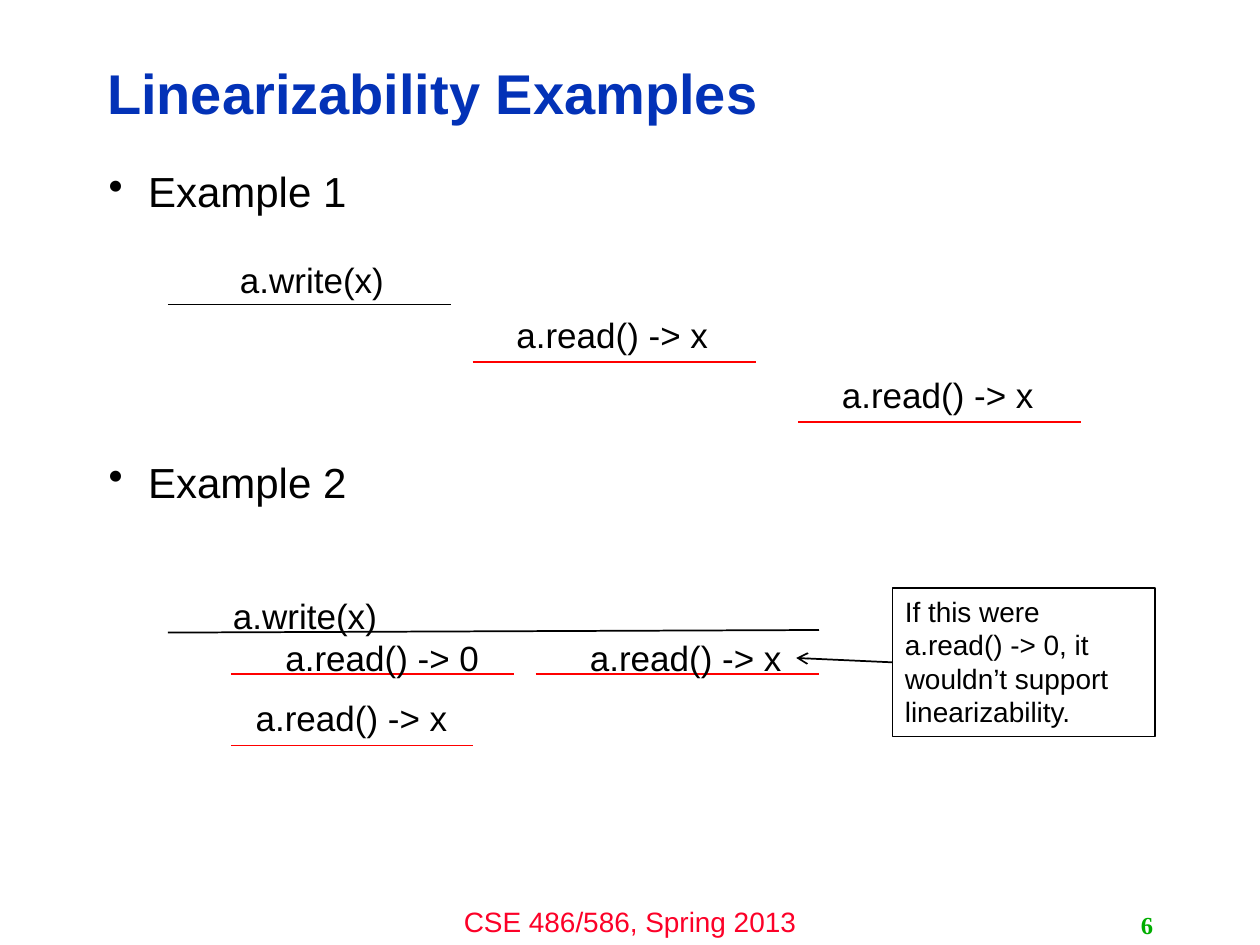
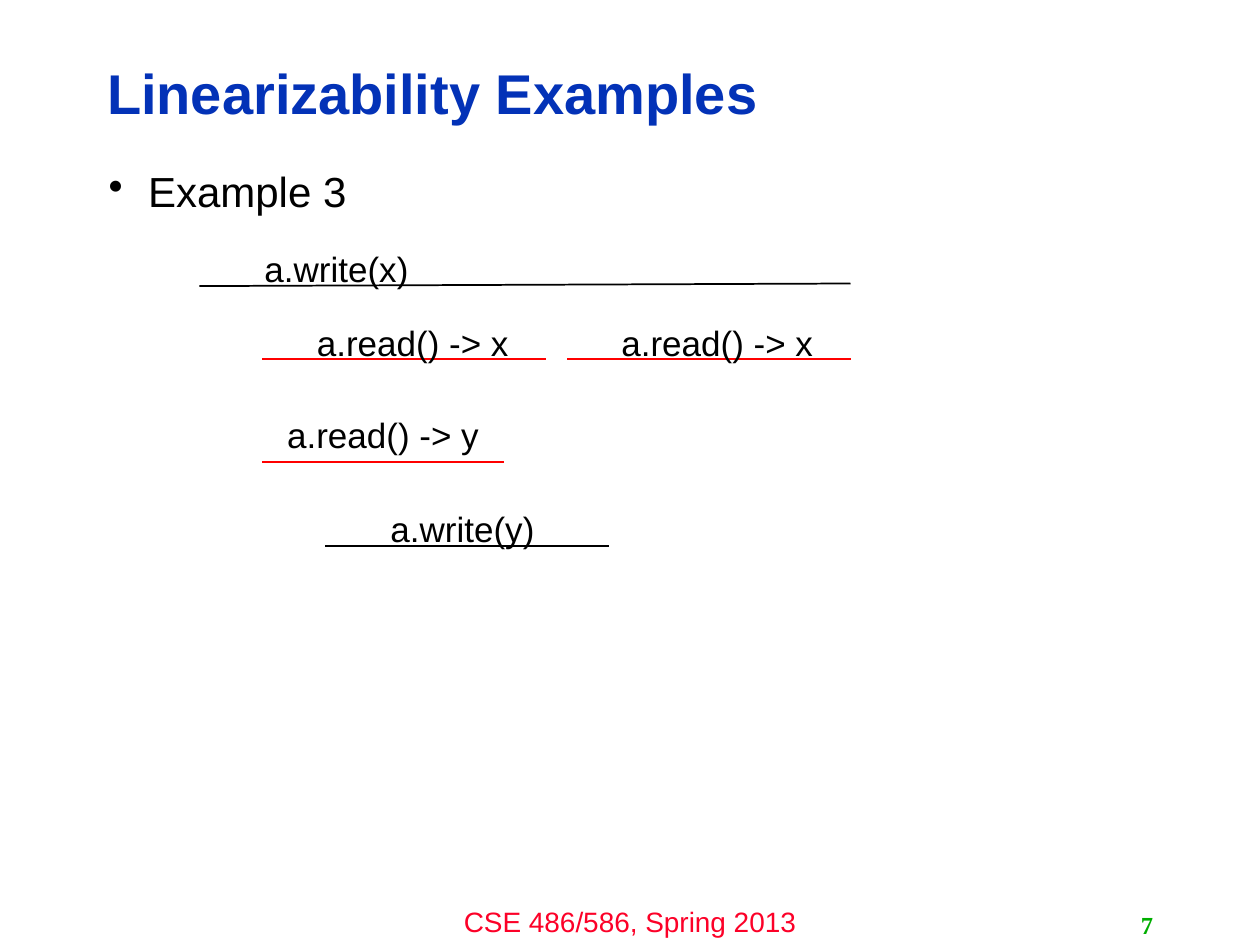
from pptx import Presentation
from pptx.dml.color import RGBColor
from pptx.enum.shapes import MSO_CONNECTOR as Connector, MSO_SHAPE as Shape
from pptx.enum.text import MSO_ANCHOR as Anchor, MSO_AUTO_SIZE as AutoSize, PP_ALIGN as Align
from pptx.oxml.ns import qn
from pptx.util import Pt
from lxml.etree import SubElement

BLACK, RED, BLUE = "000000", "FF0000", "0332B7"
FOOTER_RED, NUMBER_GREEN = "FC0128", "00AE00"
TITLE_ONLY = 5


def color(hex_string):
    return RGBColor.from_string(hex_string)


def write_text(paragraph, text, size=20, ink=BLACK, name="Arial", bold=False,
               align=Align.LEFT, line_spacing=None, space_before=0, bullet=None):
    if bullet:
        properties = paragraph._p.get_or_add_pPr()
        properties.set("marL", str(Pt(22.5)))
        properties.set("indent", str(-Pt(22.5)))
        SubElement(properties, qn("a:buChar")).set("char", bullet)
    paragraph.alignment = align
    paragraph.line_spacing = line_spacing
    paragraph.space_before = Pt(space_before)
    run = paragraph.add_run()
    run.text = text
    run.font.size = Pt(size)
    run.font.name = name
    run.font.bold = bold
    run.font.color.rgb = color(ink)


class Deck:
    def __init__(self):
        self.presentation = Presentation()
        self.presentation.slide_width = Pt(720)
        self.presentation.slide_height = Pt(540)
        self.slide = None

    def add_slide(self, title, number):
        layout = self.presentation.slide_layouts[TITLE_ONLY]
        self.slide = self.presentation.slides.add_slide(layout)
        heading = self.slide.shapes.title
        heading.left, heading.top, heading.width, heading.height = map(Pt, (54, 26, 574.5, 58))
        frame = heading.text_frame
        frame.auto_size = AutoSize.NONE
        frame.vertical_anchor = Anchor.MIDDLE
        write_text(frame.paragraphs[0], title, size=32, ink=BLUE, bold=True, line_spacing=0.9)
        self.text("CSE 486/586, Spring 2013", 240, 513.5, 240, 26.5,
                  size=16, ink=FOOTER_RED, align=Align.CENTER)
        self.text(str(number), 516, 517, 150, 23, anchor=Anchor.MIDDLE, size=14,
                  ink=NUMBER_GREEN, name="Times New Roman", bold=True, align=Align.RIGHT)

    def frame(self, left, top, width, height, wrap=True, anchor=Anchor.TOP):
        box = self.slide.shapes.add_textbox(Pt(left), Pt(top), Pt(width), Pt(height))
        box.text_frame.word_wrap = wrap
        box.text_frame.vertical_anchor = anchor
        return box.text_frame

    def text(self, text, left, top, width, height, wrap=True, anchor=Anchor.TOP, **style):
        frame = self.frame(left, top, width, height, wrap, anchor)
        write_text(frame.paragraphs[0], text, **style)

    def bullets(self, *items, gap=140):
        frame = self.frame(55, 94.5, 605, 388)
        for index, item in enumerate(items):
            paragraph = frame.add_paragraph() if index else frame.paragraphs[0]
            write_text(paragraph, item, size=24, line_spacing=0.9, bullet="•",
                       space_before=gap if index else 0)

    def line(self, start, end, ink=BLACK, arrow=False):
        connector = self.slide.shapes.add_connector(
            Connector.STRAIGHT, *map(Pt, (*start, *end)))
        connector.line.color.rgb = color(ink)
        connector.line.width = Pt(1)
        properties = connector._element.spPr
        if arrow:
            SubElement(properties.find(qn("a:ln")), qn("a:tailEnd")).set("type", "arrow")
        SubElement(properties, qn("a:effectLst"))

    def operation(self, text, left, top, start, end):
        is_read = "read" in text
        self.line(start, end, RED if is_read else BLACK)
        self.text(text, left, top, 125 if is_read else 98, 31.5, wrap=False)

    def note(self, text, left, top, width, height):
        box = self.slide.shapes.add_shape(
            Shape.RECTANGLE, Pt(left), Pt(top), Pt(width), Pt(height))
        box.shadow.inherit = False
        box.fill.background()
        box.line.color.rgb = color(BLACK)
        box.line.width = Pt(0.75)
        box.text_frame.word_wrap = True
        box.text_frame.vertical_anchor = Anchor.TOP
        write_text(box.text_frame.paragraphs[0], text, size=16)


def main():
    deck = Deck()

    deck.add_slide("Linearizability Examples", 6)
    deck.bullets("Example 1", "Example 2")
    deck.operation("a.write(x)", 130, 144, (96, 174), (258, 174))
    deck.operation("a.read() -> x", 288, 175.5, (270, 207), (432, 207))
    deck.operation("a.read() -> x", 474, 210, (456, 241), (618, 241))
    deck.operation("a.write(x)", 126, 336, (96, 361.5), (468, 360))
    deck.operation("a.read() -> 0", 156, 360, (132, 385), (294, 385))
    deck.operation("a.read() -> x", 330, 360, (306, 385), (468, 385))
    deck.operation("a.read() -> x", 139, 394.5, (132, 426), (270, 426))
    deck.note("If this were a.read() -> 0, it wouldn’t support linearizability.",
              510, 336, 150, 85)
    deck.line((510, 378.5), (455, 376), arrow=True)

    deck.add_slide("Linearizability Examples", 7)
    deck.bullets("Example 3")
    deck.operation("a.write(x)", 144, 138, (114, 163.5), (486, 162))
    deck.operation("a.read() -> x", 174, 180, (150, 205), (312, 205))
    deck.operation("a.read() -> x", 348, 180, (324, 205), (486, 205))
    deck.operation("a.read() -> y", 157, 232.5, (150, 264), (288, 264))
    deck.operation("a.write(y)", 216, 286.5, (186, 312), (348, 312))

    deck.presentation.save("out.pptx")


if __name__ == "__main__":
    main()
